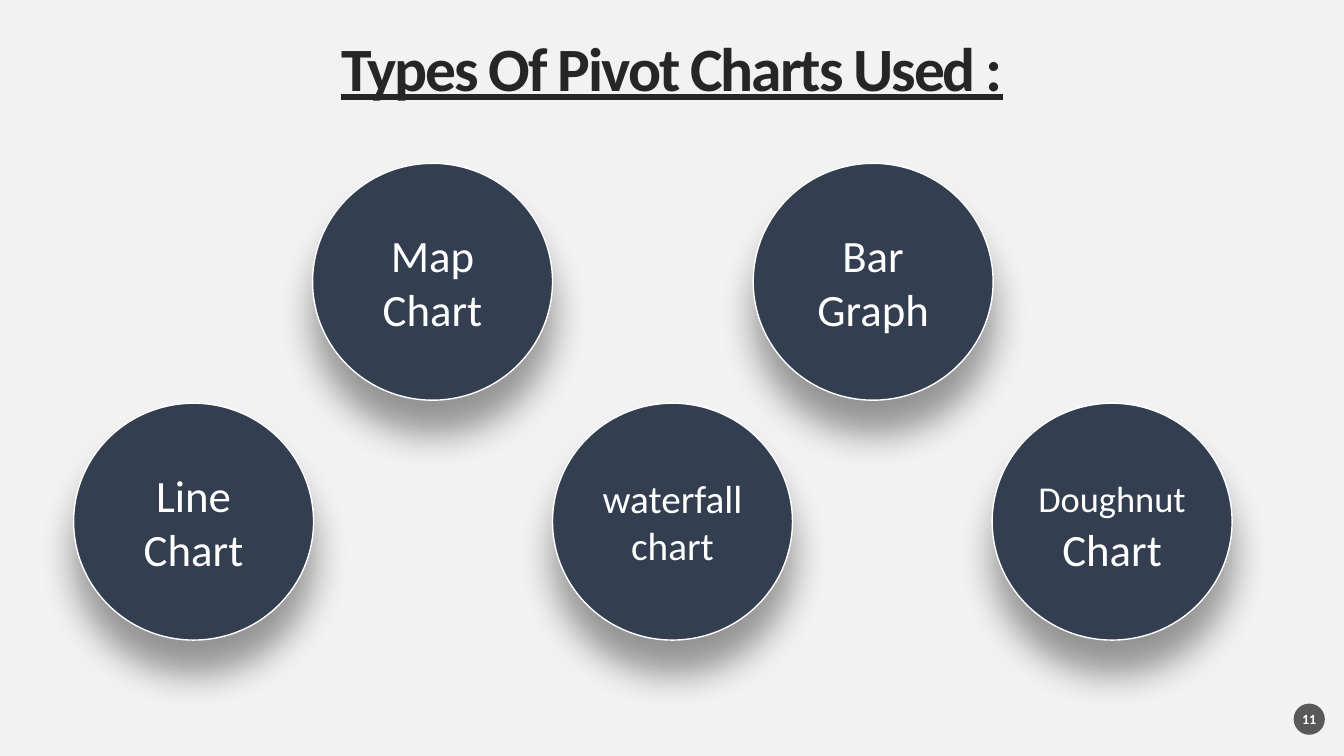
from dataclasses import dataclass

from lxml import etree
from pptx import Presentation
from pptx.dml.color import RGBColor
from pptx.enum.shapes import MSO_SHAPE
from pptx.enum.text import MSO_ANCHOR, MSO_AUTO_SIZE, PP_ALIGN
from pptx.oxml.ns import qn
from pptx.util import Emu, Pt

OVAL = MSO_SHAPE.OVAL
MIDDLE = MSO_ANCHOR.MIDDLE
CENTER = PP_ALIGN.CENTER
NO_AUTOFIT = MSO_AUTO_SIZE.NONE
EMU_PER_PX = 9144  # 100 px to the inch


@dataclass(frozen=True)
class Theme:
    font: str = "Calibri"
    background: str = "F2F2F2"
    title: str = "262626"
    circle: str = "333F50"
    badge: str = "595959"
    light: str = "FFFFFF"
    shadow: str = "000000"
    title_size: int = 44
    large_size: int = 32
    medium_size: int = 28
    small_size: int = 26
    badge_size: int = 10


@dataclass(frozen=True)
class Run:
    text: str
    size: int


@dataclass(frozen=True)
class Circle:
    left: int
    top: int
    lines: tuple[tuple[Run, ...], ...]


THEME = Theme()
CIRCLE_W, CIRCLE_H = 238, 235
UPPER, LOWER = 162, 400
LARGE = THEME.large_size
CIRCLES = (
    Circle(747, UPPER, ((Run("Bar Graph", LARGE),),)),
    Circle(548, LOWER, ((Run("waterfall chart", THEME.medium_size),),)),
    Circle(984, LOWER, ((Run("Doughnut", THEME.small_size), Run(" ", LARGE)),
                        (Run("Chart", LARGE),))),
    Circle(310, UPPER, ((Run("Map Chart", LARGE),),)),
    Circle(73, LOWER, ((Run("Line Chart", LARGE),),)),
)


def px(n: int) -> Emu:
    return Emu(n * EMU_PER_PX)


def rgb(value: str) -> RGBColor:
    return RGBColor.from_string(value)


def set_attrs(obj, values: dict) -> None:
    for name, value in values.items():
        setattr(obj, name, value)


def write_run(p, run: Run, color: str, **font_format):
    r = p.add_run()
    r.text = run.text
    set_attrs(r.font, {"name": THEME.font, "size": Pt(run.size), **font_format})
    r.font.color.rgb = rgb(color)
    return r


def clear_margins(tf) -> None:
    set_attrs(tf, {f"margin_{side}": 0 for side in ("left", "top", "right", "bottom")})


def add_oval(s, left: int, top: int, width: int, height: int, fill: str):
    sp = s.shapes.add_shape(OVAL, px(left), px(top), px(width), px(height))
    sp.shadow.inherit = False
    sp.fill.solid()
    sp.fill.fore_color.rgb = rgb(fill)
    sp.text_frame.vertical_anchor = MIDDLE
    return sp


def add_drop_shadow(sp) -> None:
    effects = sp._element.spPr.find(qn("a:effectLst"))
    shadow = etree.SubElement(effects, qn("a:outerShdw"), blurRad=str(Pt(26)),
                              dist=str(Pt(24)), dir="5400000", rotWithShape="0")
    color = etree.SubElement(shadow, qn("a:srgbClr"), val=THEME.shadow)
    etree.SubElement(color, qn("a:alpha"), val="39000")


def add_title(s) -> None:
    sp = s.shapes.title
    set_attrs(sp, {"left": px(47), "top": px(47), "width": px(1239), "height": px(47)})
    tf = sp.text_frame
    set_attrs(tf, {"vertical_anchor": MIDDLE, "auto_size": NO_AUTOFIT, "word_wrap": True})
    clear_margins(tf)
    p = tf.paragraphs[0]
    set_attrs(p, {"alignment": CENTER, "line_spacing": 0.9})
    r = write_run(p, Run("Types Of Pivot Charts Used :", THEME.title_size),
                  THEME.title, bold=True, underline=True)
    r.font._element.set("spc", "-150")


def add_badge(s) -> None:
    sp = add_oval(s, 1283, 698, 31, 31, THEME.badge)
    sp.line.fill.background()
    clear_margins(sp.text_frame)
    p = sp.text_frame.paragraphs[0]
    p.alignment = CENTER
    write_run(p, Run("11", THEME.badge_size), THEME.light, bold=True)


def add_circle(s, circle: Circle) -> None:
    sp = add_oval(s, circle.left, circle.top, CIRCLE_W, CIRCLE_H, THEME.circle)
    sp.line.color.rgb = rgb(THEME.light)
    sp.line.width = Pt(1)
    add_drop_shadow(sp)
    tf = sp.text_frame
    tf.word_wrap = True
    for i, line in enumerate(circle.lines):
        p = tf.add_paragraph() if i else tf.paragraphs[0]
        p.alignment = CENTER
        for run in line:
            write_run(p, run, THEME.light)


def main() -> None:
    prs = Presentation()
    set_attrs(prs, {"slide_width": px(1333), "slide_height": px(750)})
    s = prs.slides.add_slide(prs.slide_layouts.get_by_name("Title Only"))
    s.background.fill.solid()
    s.background.fill.fore_color.rgb = rgb(THEME.background)
    add_title(s)
    add_badge(s)
    for circle in CIRCLES:
        add_circle(s, circle)
    prs.save("out.pptx")


if __name__ == "__main__":
    main()
